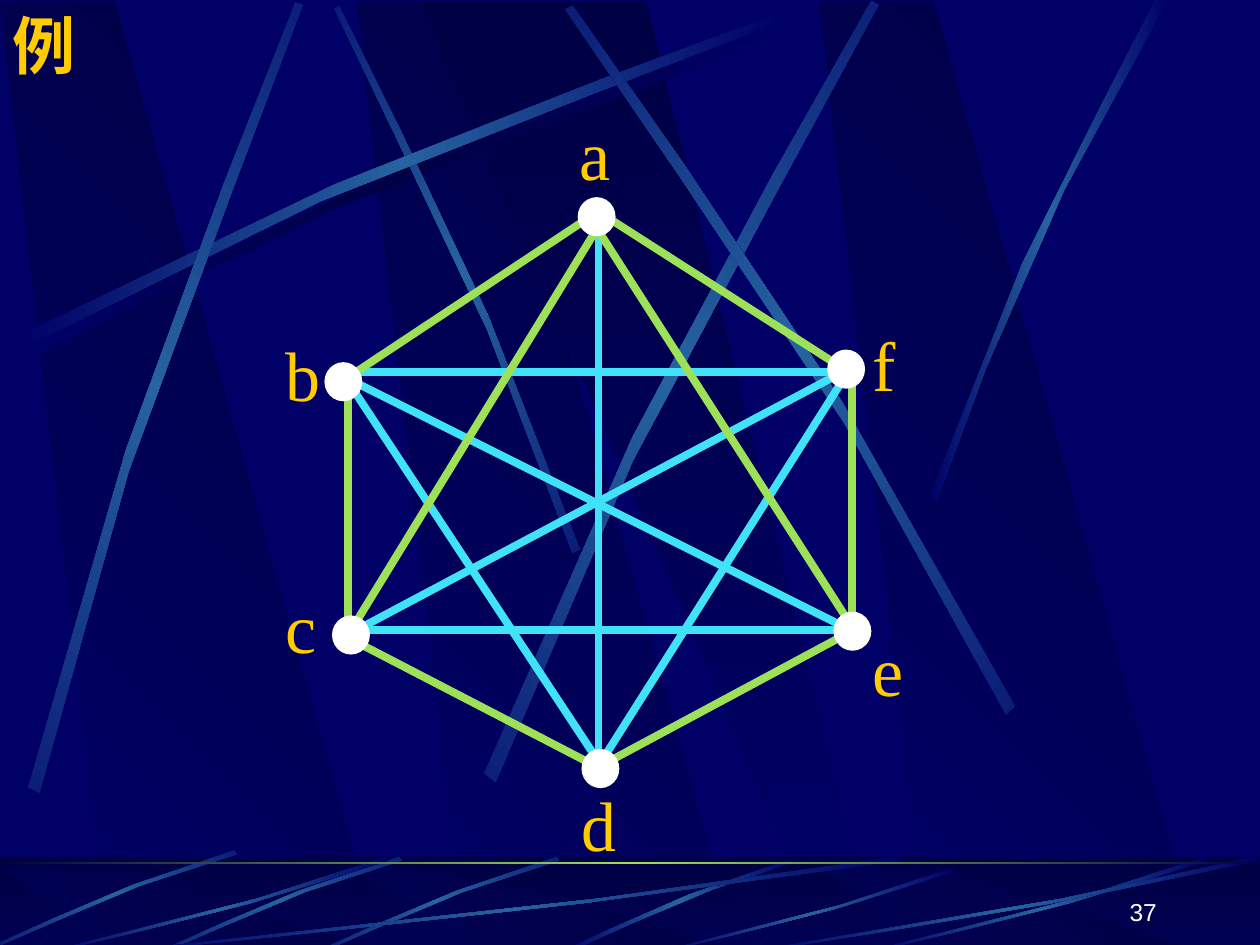
import math

from lxml import etree
from pptx import Presentation
from pptx.dml.color import RGBColor
from pptx.enum.shapes import MSO_CONNECTOR, MSO_SHAPE
from pptx.enum.text import MSO_ANCHOR, PP_ALIGN
from pptx.oxml.ns import qn
from pptx.util import Inches, Pt

LINE = MSO_CONNECTOR.STRAIGHT
RECTANGLE, OVAL = MSO_SHAPE.RECTANGLE, MSO_SHAPE.OVAL
LEFT, RIGHT = PP_ALIGN.LEFT, PP_ALIGN.RIGHT
TOP, MIDDLE, BOTTOM = MSO_ANCHOR.TOP, MSO_ANCHOR.MIDDLE, MSO_ANCHOR.BOTTOM

NAVY, DARK, STEEL = "000066", "000044", "2663A0"
GOLD, WHITE, CYAN, GREEN = "FFCC00", "FFFFFF", "40E2F8", "9CE157"
GLOW = (NAVY, STEEL, NAVY)
SHADE = (NAVY, DARK, NAVY)
TITLE_ONLY = 5

# Streak outlines: a curve of four points out and a curve of four points back
SWEEP = [(0.14, 2.67), (2.78, 1.25), (5.18, 0.51), (6.2, 0.1),
         (6.23, 0.16), (5.22, 0.61), (2.48, 1.43), (0.17, 2.77)]
SHORT_STREAK = [(4.6, 4.36), (3.91, 2.34), (3.02, 0.77), (2.69, 0.05),
                (2.65, 0.07), (2.95, 0.79), (3.98, 2.58), (4.54, 4.39)]
# Outline, rotation and centre of the turned streaks
TURNED_STREAKS = [
    ([(0.23, 6.25), (0.93, 3.34), (1.97, 1.05), (2.35, 0.02),
      (2.41, 0.04), (2.07, 1.09), (0.86, 3.68), (0.32, 6.29)], 311.7, (1.33, 3.15)),
    ([(3.85, 6.14), (4.98, 3.2), (6.38, 1.02), (6.92, 0.01),
      (6.98, 0.04), (6.49, 1.08), (4.86, 3.55), (3.94, 6.21)], 321.6, (5.43, 3.1)),
    ([(8.06, 5.6), (6.7, 2.93), (5.16, 0.95), (4.55, 0.04),
      (4.49, 0.07), (5.07, 1.01), (6.85, 3.25), (7.99, 5.67)], 34.7, (6.27, 2.86)),
]
RIGHT_STREAK = [(7.38, 3.94), (8.14, 1.73), (8.88, 0.66), (9.17, 0),
                (9.27, 0), (8.36, 1.45), (7.69, 3.22), (7.44, 3.97)]
FLOOR_ARC = [(6.27, 6.82), (5.37, 7.09), (4.77, 7.42), (4.48, 7.54),
             (4.53, 7.55), (4.9, 7.38), (5.71, 7), (6.28, 6.85)]
FLOOR_TURNED = [(4.42, 6.8), (3.55, 7.05), (2.87, 7.4), (2.56, 7.53),
                (2.57, 7.55), (2.88, 7.43), (3.65, 7.03), (4.44, 6.83)]
# Outline in fractions of its box, and the boxes (left, top, width, height)
FLOOR_UNIT = [(1, 0.04), (0.57, 0.57), (0.17, 0.85), (0.01, 1),
              (0, 0.99), (0.17, 0.81), (0.62, 0.51), (0.99, 0)]
FLOOR_BOXES = [(1, 6.8, 6.17, 0.75), (0.42, 6.8, 2.67, 0.75), (5.27, 6.89, 2.31, 0.66),
               (6.92, 6.8, 2.67, 0.75), (6, 6.8, 4, 0.75)]

# Graph: edges (from, to), then vertices with corner, label corner and label width
CYAN_EDGES = [((2.8, 5), (6.8, 5)), ((4.75, 1.75), (4.75, 6.08)),
              ((2.83, 5), (6.75, 2.92)), ((2.75, 3), (6.75, 5)),
              ((2.73, 2.98), (4.82, 6.15)), ((4.75, 6.08), (6.75, 2.92)),
              ((2.75, 2.95), (6.75, 2.95))]
GREEN_EDGES = [((2.76, 2.97), (2.76, 5.06)), ((4.67, 1.73), (2.8, 2.97)),
               ((6.74, 5.02), (4.82, 6.05)), ((4.75, 1.68), (6.7, 2.93)),
               ((2.76, 5.06), (4.67, 6.05)), ((4.71, 1.77), (6.74, 4.94)),
               ((4.79, 1.73), (2.8, 4.98)), ((6.76, 2.88), (6.76, 4.96))]
VERTICES = {"d": ((4.62, 5.95), (4.52, 6.15), 0.48), "e": ((6.62, 4.86), (6.83, 4.92), 0.45),
            "f": ((6.57, 2.78), (6.83, 2.5), 0.39), "a": ((4.59, 1.57), (4.5, 0.83), 0.45),
            "b": ((2.58, 2.88), (2.17, 2.58), 0.48), "c": ((2.64, 4.89), (2.17, 4.58), 0.45)}


def color(value):
    return RGBColor.from_string(value)


def fill_gradient(shape, colors, angle=0):
    """Fill with evenly spaced stops; the angle runs clockwise."""
    shape.fill.gradient()
    gradient = shape._element.spPr.find(qn("a:gradFill"))
    gradient.set("rotWithShape", "1")
    stops = gradient.find(qn("a:gsLst"))
    for stop in list(stops):
        stops.remove(stop)
    for index, value in enumerate(colors):
        stop = etree.SubElement(stops, qn("a:gs"), pos=str(index * 100000 // (len(colors) - 1)))
        etree.SubElement(stop, qn("a:srgbClr"), val=value)
    gradient.find(qn("a:lin")).set("ang", str(angle * 60000))


def add_outline(slide, points, colors, angle=0):
    corners = [(Inches(x), Inches(y)) for x, y in points]
    builder = slide.shapes.build_freeform(*corners[0], scale=1.0)
    builder.add_line_segments(corners[1:], close=True)
    shape = builder.convert_to_shape()
    shape.shadow.inherit = False
    shape.line.fill.background()
    fill_gradient(shape, colors, angle)
    return shape


def curve(points, steps=3):
    """A few points along a gentle cubic curve."""
    def at(t):
        weights = ((1 - t) ** 3, 3 * t * (1 - t) ** 2, 3 * t * t * (1 - t), t ** 3)
        return tuple(sum(w * p[axis] for w, p in zip(weights, points)) for axis in (0, 1))
    return [at(step / steps) for step in range(steps + 1)]


def turn(point, center, degrees):
    cosine, sine = math.cos(math.radians(degrees)), math.sin(math.radians(degrees))
    x, y = point[0] - center[0], point[1] - center[1]
    return center[0] + x * cosine - y * sine, center[1] + x * sine + y * cosine


def add_streak(slide, points, colors=GLOW, rotation=0, center=(0, 0)):
    outline = curve(points[:4]) + curve(points[4:])
    shape = add_outline(slide, [turn(p, center, -rotation) for p in outline], colors)
    shape.rotation = rotation


def shift(points, dx, dy=0):
    return [(x + dx, y + dy) for x, y in points]


def add_block(parent, kind, left, top, width, height):
    shape = parent.shapes.add_shape(kind, Inches(left), Inches(top), Inches(width), Inches(height))
    shape.shadow.inherit = False
    shape.line.fill.background()
    return shape


def add_edge(parent, start, end, value):
    edge = parent.shapes.add_connector(LINE, *(Inches(v) for v in start + end))
    edge.line.color.rgb = color(value)
    edge.line.width = Pt(4.5)
    etree.SubElement(edge._element.spPr, qn("a:effectLst"))


def write_text(shape, text, size, font, value, bold=False, align=LEFT, anchor=TOP, wrap=True):
    frame = shape.text_frame
    frame.text = text
    frame.word_wrap = wrap
    frame.vertical_anchor = anchor
    paragraph = frame.paragraphs[0]
    paragraph.alignment = align
    paragraph.font.size = Pt(size)
    paragraph.font.name = font
    paragraph.font.bold = bold
    paragraph.font.color.rgb = color(value)


def add_text(parent, text, left, top, width, height, **style):
    box = parent.shapes.add_textbox(Inches(left), Inches(top), Inches(width), Inches(height))
    write_text(box, text, **style)


def add_panels(slide, top, bottom):
    for left in (2.83, 0, 6.5):
        panel = [(0.86, bottom), (3.02, bottom), (0.91, top), (0, top)]
        add_outline(slide, shift(panel, left), (NAVY, DARK), 315)
    add_outline(slide, [(3.33, top), (6.58, bottom), (6.94, bottom), (5.13, top)],
                (DARK, NAVY), 90)


def add_backdrop(slide):
    slide.background.fill.solid()
    slide.background.fill.fore_color.rgb = color(NAVY)

    # Wall with light streaks
    add_panels(slide, 0.01, 7.52)
    add_streak(slide, shift(SWEEP, 0.06, 0.08), SHADE)
    add_streak(slide, SHORT_STREAK, rotation=45, center=(3.62, 2.22))
    add_streak(slide, SWEEP)
    for points, rotation, center in TURNED_STREAKS:
        add_streak(slide, points, rotation=rotation, center=center)
    add_streak(slide, RIGHT_STREAK)

    # Floor
    floor = (0, 6.8, 10, 0.75)
    fill_gradient(add_block(slide, RECTANGLE, *floor), (DARK, NAVY), 90)
    add_panels(slide, 6.88, 7.55)
    veil = add_block(slide, RECTANGLE, *floor)
    veil.fill.solid()
    veil.fill.fore_color.rgb = color(DARK)
    veil_color = veil._element.spPr.find(qn("a:solidFill"))[0]
    etree.SubElement(veil_color, qn("a:alpha"), val="50000")
    add_streak(slide, FLOOR_ARC)
    for dx, dy in ((0, 0), (-1.25, 0), (-2.56, -0.05)):
        add_streak(slide, shift(FLOOR_TURNED, dx, dy), rotation=315, center=(3.5 + dx, 7.18 + dy))
    for left, top, width, height in FLOOR_BOXES:
        add_streak(slide, [(left + x * width, top + y * height) for x, y in FLOOR_UNIT])
    fill_gradient(add_block(slide, RECTANGLE, 0, 6.84, 10, 0.02), (DARK, GREEN, DARK))


def move_to_master(slide, shapes):
    """Put the decoration behind everything on the slide master."""
    tree = slide.slide_layout.slide_master.shapes._spTree
    for index, shape in enumerate(shapes):
        shape._element.nvSpPr.cNvPr.set("id", str(100 + index))
        tree.insert(2 + index, shape._element)


def add_title(slide, text):
    title = slide.shapes.title
    title.left, title.top, title.width, title.height = 0, 0, Inches(8.5), Inches(0.71)
    write_text(title, text, size=36, font="Montserrat", value=GOLD, bold=True, anchor=MIDDLE)


def add_graph(slide):
    for start, end in CYAN_EDGES:
        add_edge(slide, start, end, CYAN)
    group = slide.shapes.add_group_shape()
    for start, end in GREEN_EDGES:
        add_edge(group, start, end, GREEN)
    for corner, _, _ in VERTICES.values():
        vertex = add_block(group, OVAL, *corner, 0.29, 0.3)
        vertex.fill.solid()
        vertex.fill.fore_color.rgb = color(WHITE)
        vertex.line.color.rgb = color(WHITE)
        vertex.line.width = Pt(0.75)
    for name, (_, corner, width) in VERTICES.items():
        add_text(group, name, *corner, width, 0.77, size=40,
                 font="Times New Roman", value=GOLD, wrap=False)


def main():
    presentation = Presentation()
    presentation.slide_width, presentation.slide_height = Inches(10), Inches(7.5)
    slide = presentation.slides.add_slide(presentation.slide_layouts[TITLE_ONLY])
    add_backdrop(slide)
    move_to_master(slide, [shape for shape in slide.shapes if not shape.is_placeholder])
    add_title(slide, "例")
    add_graph(slide)
    add_text(slide, "37", 7.2, 6.9, 2.08, 0.5, size=14, font="Arial", value=WHITE,
             align=RIGHT, anchor=BOTTOM)
    presentation.save("out.pptx")


if __name__ == "__main__":
    main()
